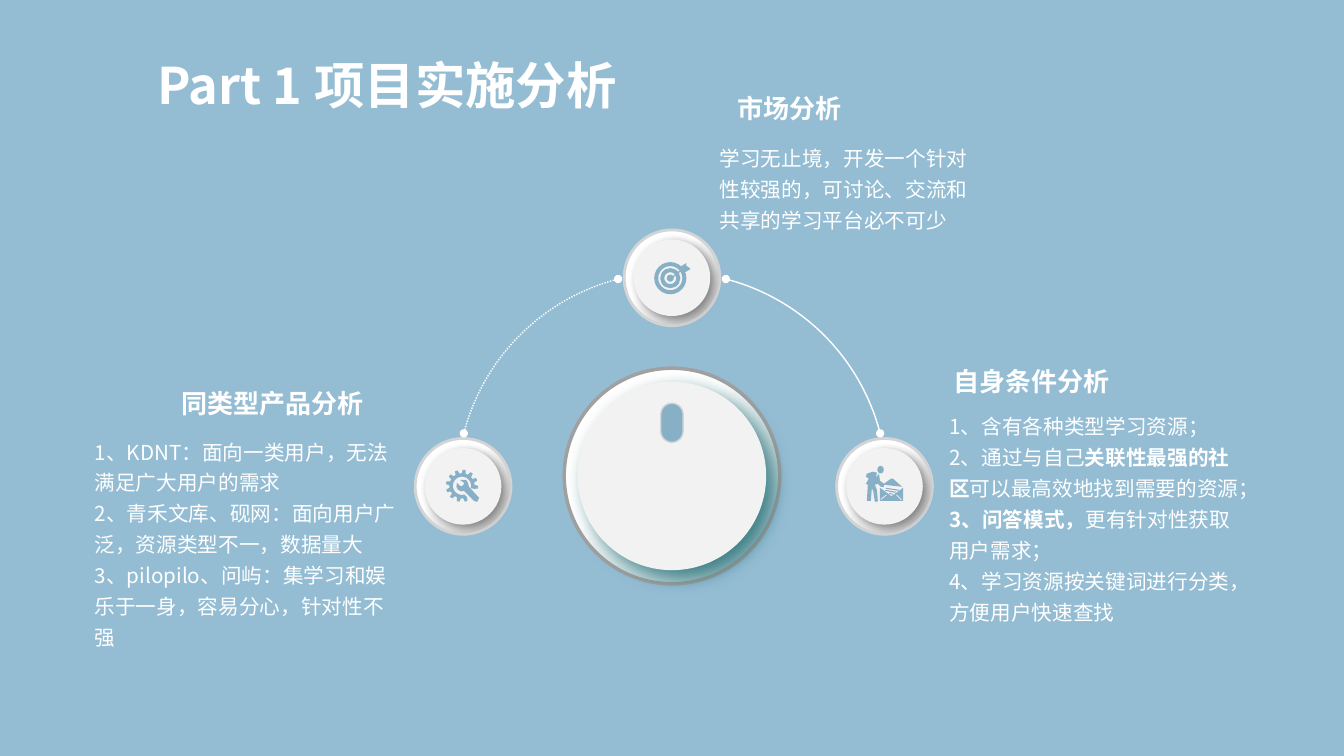
import math
from dataclasses import dataclass

import lxml.etree
import pptx
import pptx.dml.color
import pptx.enum.dml
import pptx.enum.shapes
import pptx.enum.text
import pptx.oxml.ns
import pptx.util

Pt = pptx.util.Pt
RGB = pptx.dml.color.RGBColor.from_string
qn = pptx.oxml.ns.qn
SHAPE = pptx.enum.shapes.MSO_SHAPE
ALIGN = pptx.enum.text.PP_ALIGN


@dataclass(frozen=True)
class Theme:
    """Colours, font and type sizes of the slide."""
    back: str = "94BDD4"
    white: str = "FFFFFF"
    face: str = "F2F2F2"
    icon: str = "87B0C7"
    teal: str = "7FAAB0"
    gray: str = "B0B0B0"
    hub_edge: str = "A0A0A0"
    node_edge: str = "D2D4D6"
    hub_shadow: str = "005962"
    node_shadow: str = "595959"
    font: str = "Noto Sans CJK SC"
    title: float = 36
    heading: float = 18.6
    body: float = 14.7


T = Theme()
ICON_UNIT = 0.72

prs = pptx.Presentation()
prs.slide_width, prs.slide_height = Pt(960), Pt(540)
s = prs.slides.add_slide(prs.slide_layouts[5])
s.background.fill.solid()
s.background.fill.fore_color.rgb = RGB(T.back)


def add_centred(kind, cx, cy, w, h, fill, edge=None, edge_pt=1):
    """Add a preset shape centred on a point, with a plain fill."""
    sp = s.shapes.add_shape(kind, Pt(cx - w / 2), Pt(cy - h / 2), Pt(w), Pt(h))
    sp.shadow.inherit = False
    sp.fill.solid()
    sp.fill.fore_color.rgb = RGB(fill)
    if edge:
        sp.line.color.rgb = RGB(edge)
        sp.line.width = Pt(edge_pt)
    else:
        sp.line.fill.background()
    return sp


def add_outline(points, origin=(0, 0), unit=1, fill=None):
    """Add a closed filled outline, or an open white line without a fill."""
    pts = [(100 * (origin[0] + unit * x), 100 * (origin[1] + unit * y)) for x, y in points]
    fb = s.shapes.build_freeform(*pts[0], scale=Pt(1) / 100)
    fb.add_line_segments(pts[1:], close=fill is not None)
    sp = fb.convert_to_shape()
    sp.shadow.inherit = False
    if fill:
        sp.fill.solid()
        sp.fill.fore_color.rgb = RGB(fill)
        sp.line.fill.background()
    else:
        sp.fill.background()
        sp.line.color.rgb = RGB(T.white)
        sp.line.width = Pt(1)
    return sp


# Hub and its three nodes: cx, cy, ring, face, edge, edge width, rim, shadow, blur, distance
dials = [(480, 340, 154, 134.6, T.hub_edge, 2.5, T.teal, T.hub_shadow, 13, 7)]
dials += [(cx, cy, 68.4, 54.7, T.node_edge, 2, T.gray, T.node_shadow, 6, 3)
          for cx, cy in ((330.8, 347.4), (631.8, 347.4), (480, 198.4))]
for cx, cy, ring, face, edge, edge_pt, rim, shade, blur, dist in dials:
    sp = add_centred(SHAPE.OVAL, cx, cy, ring, ring, T.white, edge, edge_pt)
    sp.fill.gradient()
    sp.fill.gradient_angle = 315
    for stop, color, place in zip(sp.fill.gradient_stops, (T.white, rim), (0.4, 1)):
        stop.color.rgb = RGB(color)
        stop.position = place
    sp = add_centred(SHAPE.OVAL, cx, cy, face, face, T.face)
    shadow = lxml.etree.SubElement(
        sp.element.spPr.find(qn("a:effectLst")), qn("a:outerShdw"),
        blurRad=str(Pt(blur)), dist=str(Pt(dist)), dir="2700000", algn="tl", rotWithShape="0")
    color = lxml.etree.SubElement(shadow, qn("a:srgbClr"), val=shade)
    lxml.etree.SubElement(color, qn("a:alpha"), val="64000")

# Arcs between the nodes
for side, dash in ((-1, pptx.enum.dml.MSO_LINE.ROUND_DOT), (1, None)):
    angles = [math.radians(14.5 + 61 * i / 40) for i in range(41)]
    sp = add_outline([(side * math.cos(a), -math.sin(a)) for a in angles], (480, 348), 153.6)
    if dash:
        sp.line.dash_style = dash
    ln = sp.element.spPr.find(qn("a:ln"))
    for end in ("a:headEnd", "a:tailEnd"):
        lxml.etree.SubElement(ln, qn(end), type="oval")

add_centred(SHAPE.ROUNDED_RECTANGLE, 480, 302, 16, 28, T.icon, T.node_edge).adjustments[0] = 0.5

# Target icon
target = (478.8, 198.7)
for size, thickness in ((23, 0.125), (14.4, 0.2)):
    add_centred(SHAPE.DONUT, *target, size, size, T.icon).adjustments[0] = thickness
add_centred(SHAPE.OVAL, *target, 5, 5, T.icon)
add_outline([(0, 0), (10, -8), (11, -12), (16, -15), (16, -12), (18, -11), (20, -9),
             (15, -6), (12, -8), (1, 1)], target, ICON_UNIT, T.icon)

# Gear icon, open at the lower right for the wrench
gear = (330, 347)
rim = []
for tooth in range(11):
    for step, radius in ((-9, 12.5), (-5, 16), (5, 16), (9, 12.5)):
        a = math.radians(75 + 29 * tooth + step)
        rim.append((radius * math.cos(a), radius * math.sin(a)))
hole = [(9 * math.cos(math.radians(a)), 9 * math.sin(math.radians(a)))
        for a in range(375, 74, -10)]
add_outline(rim + hole, gear, ICON_UNIT, T.icon)
add_outline([(17, 12), (7, 1), (6, -3), (4, -6), (-2, -6), (2, -3), (2, -1.5), (0, 0.5),
             (-2, 0), (-5, -3), (-5.5, 1), (-4, 4), (-1, 5.5), (2, 5), (12, 15), (15, 16)],
            gear, ICON_UNIT, T.icon)

# Messenger icon: person, envelope, letter lines, creases
messenger = (618.5, 332.6)
add_centred(SHAPE.OVAL, 629, 335.5, 4.6, 5.4, T.icon)
for color, points in (
    (T.icon, [(1, 8), (7, 6), (11, 7), (10, 12), (13, 8), (14, 15), (18, 18), (25, 13),
              (27, 13), (36, 21), (18, 19), (18, 21), (15, 21), (12, 18), (9, 19), (11, 24),
              (12, 35.5), (9, 36), (7.5, 26), (6, 22), (5, 35), (1, 35), (2, 19), (0, 18),
              (3, 13), (0, 11)]),
    (T.icon, [(14, 22), (25, 30), (26, 30), (37, 22), (37, 35), (14, 35)]),
    (T.icon, [(20, 22), (33, 24), (32, 25), (20, 23)]),
    (T.icon, [(19, 24), (30, 26), (29, 27), (19, 25)]),
    (T.icon, [(23, 27), (27, 28), (27, 29), (23, 28)]),
    (T.face, [(30, 29), (31, 29), (36, 34), (35, 34)]),
    (T.face, [(21, 29), (20, 29), (15, 33), (15, 34)]),
):
    add_outline(points, messenger, ICON_UNIT, color)

# Texts: box, size, alignment, paragraphs of runs; a run marked * is bold
title_box = (105, 35.3, 352, 51)
texts = [
    (title_box, T.title, ALIGN.LEFT, [["Part 1 项目实施分析"]]),
    ((658.8, 257.8, 156.2, 30), T.heading, ALIGN.CENTER, [["自身条件分析"]]),
    ((97.9, 269.3, 193.7, 37), T.heading, ALIGN.CENTER, [["同类型产品分析"]]),
    ((486, 62.6, 156.2, 30), T.heading, ALIGN.CENTER, [["市场分析"]]),
    ((506.9, 96.5, 196.6, 72), T.body, ALIGN.LEFT,
     [["学习无止境，开发一个针对性较强的，可讨论、交流和共享的学习平台必不可少"]]),
    ((60.5, 306, 229, 160), T.body, ALIGN.LEFT,
     [["1、KDNT：面向一类用户，无法满足广大用户的需求"],
      ["2、青禾文库、砚网：面向用户广泛，资源类型不一，数据量大"],
      ["3、pilopilo、问屿：集学习和娱乐于一身，容易分心，针对性不强"]]),
    ((671, 288, 224, 163), T.body, ALIGN.LEFT,
     [["1、含有各种类型学习资源；"],
      ["2、通过与自己", "*关联性最强的社区", "可以最高效地找到需要的资源；"],
      ["*3、问答模式，", "更有针对性获取用户需求；"],
      ["4、学习资源按关键词进行分类，方便用户快速查找"]]),
]
for box, size, align, paragraphs in texts:
    is_title = box is title_box
    sp = s.shapes.title if is_title else s.shapes.add_textbox(0, 0, 0, 0)
    sp.left, sp.top, sp.width, sp.height = map(Pt, box)
    tf = sp.text_frame
    tf.word_wrap = not is_title
    tf.vertical_anchor = pptx.enum.text.MSO_ANCHOR.TOP
    if size == T.heading:
        tf.margin_left = tf.margin_right = 0
    for i, runs in enumerate(paragraphs):
        p = tf.add_paragraph() if i else tf.paragraphs[0]
        p.alignment = align
        if size == T.body:
            p.line_spacing = 1.25
        p.font.size = Pt(size)
        p.font.bold = size != T.body
        p.font.color.rgb = RGB(T.white)
        p.font.name = T.font
        lxml.etree.SubElement(p._p.pPr.find(qn("a:defRPr")), qn("a:ea"), typeface=T.font)
        for text in runs:
            r = p.add_run()
            r.text = text.lstrip("*")
            if text.startswith("*"):
                r.font.bold = True

# The product heading has a tight box
for sp in s.shapes:
    if sp.has_text_frame and sp.text_frame.text == "同类型产品分析":
        sp.text_frame.margin_top = sp.text_frame.margin_bottom = 0
        sp.top, sp.height = Pt(276.5), Pt(22.3)

prs.save("out.pptx")
